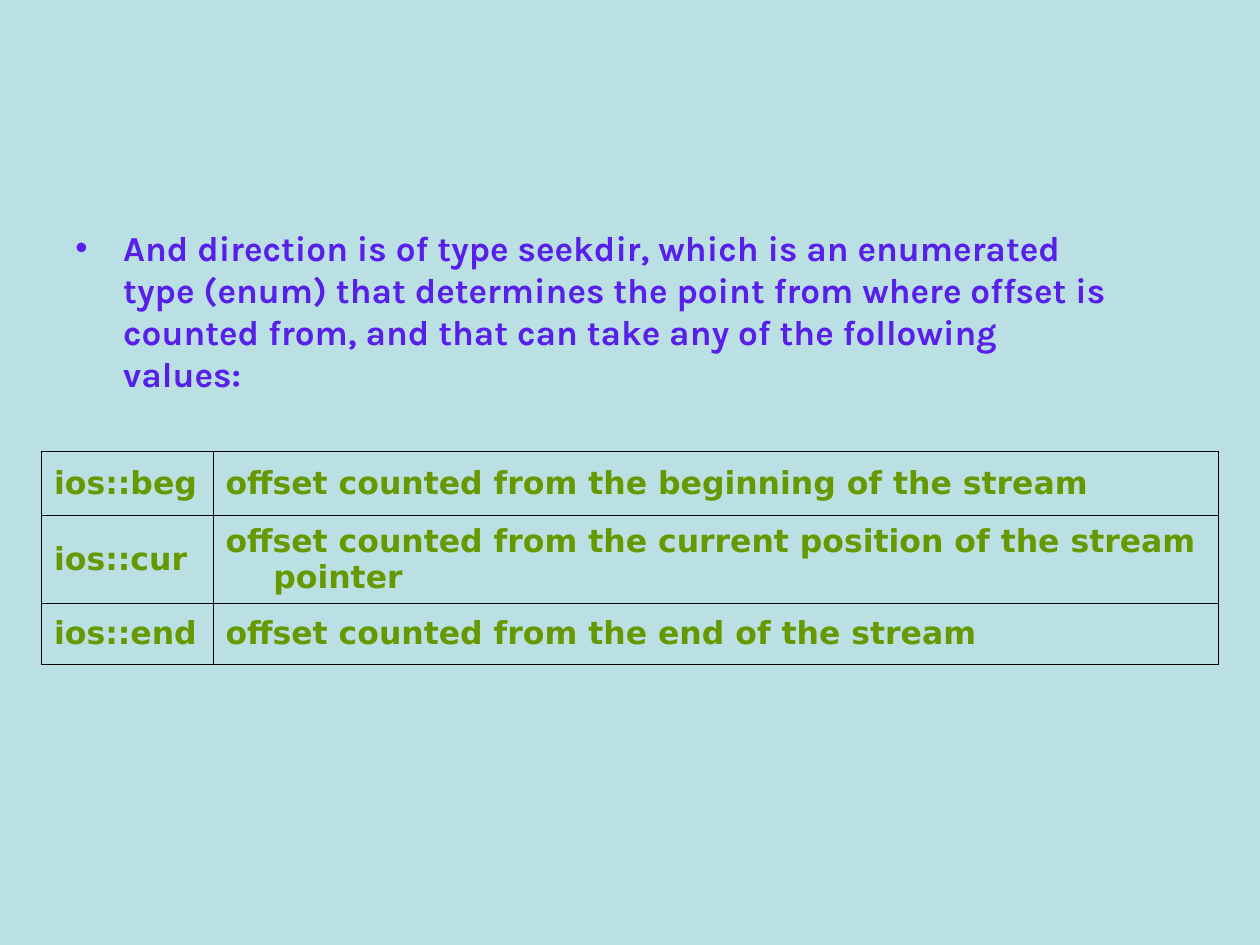
from dataclasses import dataclass

from lxml import etree
from pptx import Presentation
from pptx import util as u
from pptx.dml.color import RGBColor
from pptx.enum import text
from pptx.oxml import ns

INTRO = (
    "And direction is of type seekdir, which is an enumerated type (enum) that "
    "determines the point from where offset is counted from, and that can take "
    "any of the following values:"
)
DIRECTIONS = [
    ("ios::beg", "offset counted from the beginning of the stream"),
    ("ios::cur", "offset counted from the current position of the stream pointer"),
    ("ios::end", "offset counted from the end of the stream"),
]
COLUMN_WIDTHS = (1.36, 7.98)
ROW_HEIGHTS = (0.51, 0.7, 0.48)


@dataclass(frozen=True)
class Theme:
    background: str = "BBE0E3"
    intro_color: str = "581EEA"
    table_color: str = "669900"
    border_color: str = "000000"
    intro_font: str = "Karla"
    table_font: str = "DejaVu Sans"
    intro_size: int = 20
    table_size: int = 18
    border_width: float = 0.45
    hanging_indent: float = 0.38


THEME = Theme()


def add_element(parent, tag, **attributes):
    values = {name: str(value) for name, value in attributes.items()}
    return etree.SubElement(parent, ns.qn(tag), values)


def add_solid_color(parent, color):
    add_element(add_element(parent, "a:solidFill"), "a:srgbClr", val=color)


def write_hanging(paragraph, content, font_name, size, color):
    """Write one bold run whose wrapped lines hang under the indent."""
    indent = u.Inches(THEME.hanging_indent)
    properties = paragraph._p.get_or_add_pPr()
    properties.set("marL", str(indent))
    properties.set("indent", str(-indent))
    run = paragraph.add_run()
    run.text = content
    run.font.name = font_name
    run.font.size = u.Pt(size)
    run.font.bold = True
    run.font.color.rgb = RGBColor.from_string(color)
    return properties


def add_intro(slide):
    box = slide.shapes.add_textbox(
        u.Inches(0.5), u.Inches(1.75), u.Inches(8.5), u.Inches(2.08))
    box.text_frame.word_wrap = True
    paragraph = box.text_frame.paragraphs[0]
    paragraph.space_before = u.Pt(5)
    properties = write_hanging(
        paragraph, INTRO, THEME.intro_font, THEME.intro_size, THEME.intro_color)
    bullet_color = add_element(properties, "a:buClr")
    add_element(bullet_color, "a:srgbClr", val=THEME.intro_color)
    add_element(properties, "a:buFont", typeface="Arial")
    add_element(properties, "a:buChar", char="•")


def style_cell(cell):
    """Clear the cell's fill and outline all four sides."""
    cell.vertical_anchor = text.MSO_ANCHOR.MIDDLE
    properties = cell._tc.get_or_add_tcPr()
    for side in ("a:lnL", "a:lnR", "a:lnT", "a:lnB"):
        line = add_element(properties, side, w=u.Pt(THEME.border_width))
        add_solid_color(line, THEME.border_color)
    cell.fill.background()


def add_direction_table(slide):
    table = slide.shapes.add_table(
        len(DIRECTIONS), len(COLUMN_WIDTHS), u.Inches(0.33), u.Inches(3.58),
        u.Inches(sum(COLUMN_WIDTHS)), u.Inches(sum(ROW_HEIGHTS))).table
    table.first_row = False
    table.horz_banding = False
    for column, width in zip(table.columns, COLUMN_WIDTHS):
        column.width = u.Inches(width)
    for row, height, contents in zip(table.rows, ROW_HEIGHTS, DIRECTIONS):
        row.height = u.Inches(height)
        for cell, content in zip(row.cells, contents):
            style_cell(cell)
            write_hanging(cell.text_frame.paragraphs[0], content,
                          THEME.table_font, THEME.table_size, THEME.table_color)


def main():
    presentation = Presentation()
    presentation.slide_width = u.Inches(10)
    presentation.slide_height = u.Inches(7.5)
    slide = presentation.slides.add_slide(presentation.slide_layouts[6])
    slide.background.fill.solid()
    slide.background.fill.fore_color.rgb = RGBColor.from_string(THEME.background)
    add_intro(slide)
    add_direction_table(slide)
    presentation.save("out.pptx")


if __name__ == "__main__":
    main()
